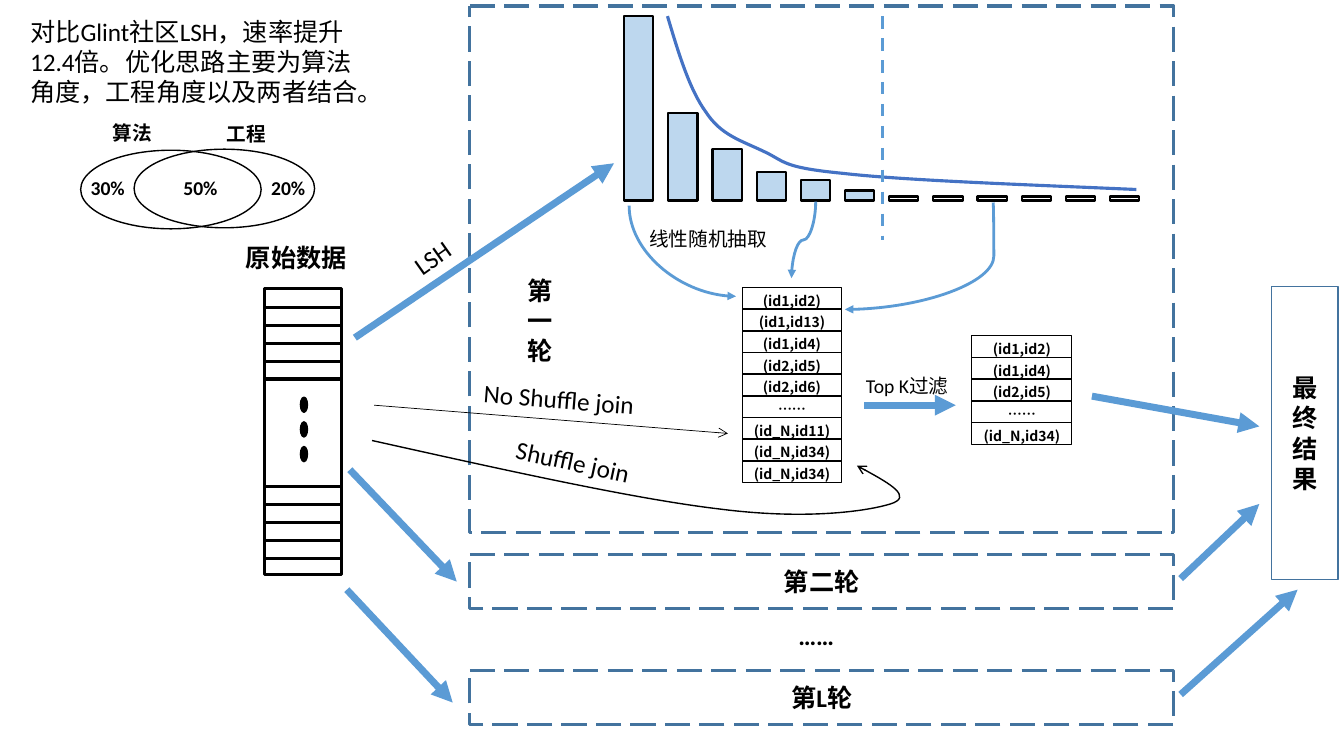
from lxml import etree
from pptx import Presentation
from pptx import util as u
from pptx.dml.color import RGBColor
from pptx.enum import dml, shapes, text
from pptx.oxml import ns

BLACK = RGBColor(0x00, 0x00, 0x00)
WHITE = RGBColor(0xFF, 0xFF, 0xFF)
PALE_BLUE = RGBColor(0xBD, 0xD7, 0xEE)
ARROW_BLUE = RGBColor(0x5B, 0x9B, 0xD5)
FRAME_BLUE = RGBColor(0x43, 0x73, 0x9E)
CURVE_BLUE = RGBColor(0x44, 0x72, 0xC4)
SHAPE = shapes.MSO_SHAPE
STRAIGHT = shapes.MSO_CONNECTOR.STRAIGHT
LONG_DASH = dml.MSO_LINE.LONG_DASH


def finish(item, colour, width, fill=None, dash=None, tail=None):
    """Set outline, fill and arrowhead, and remove the shadow."""
    if hasattr(item, "fill"):
        if fill is None:
            item.fill.background()
        else:
            item.fill.solid()
            item.fill.fore_color.rgb = fill
    item.line.color.rgb = colour
    item.line.width = u.Pt(width)
    if dash:
        item.line.dash_style = dash
    properties = item._element.spPr
    if tail:
        etree.SubElement(properties.find(ns.qn("a:ln")), ns.qn("a:tailEnd"), type=tail)
    etree.SubElement(properties, ns.qn("a:effectLst"))


def write(box, lines, size, bold=True, font="Calibri", align=None):
    """Fill a box with one paragraph per line."""
    frame = box.text_frame
    frame.word_wrap = True
    for index, line in enumerate(lines):
        para = frame.add_paragraph() if index else frame.paragraphs[0]
        para.alignment = align
        span = para.add_run()
        span.text = line
        span.font.size = u.Pt(size)
        span.font.bold = bold
        span.font.name = font
        span.font.color.rgb = BLACK


deck = Presentation()
deck.slide_width = u.Inches(13.33)
deck.slide_height = u.Inches(7.5)
page = deck.slides.add_slide(deck.slide_layouts[6])
items = page.shapes
CENTER = text.PP_ALIGN.CENTER

# Round frames and the final result
for left, top, width, height, lines, weight, dash in [
    (4.66, 0.06, 6.98, 5.22, [], 2.25, LONG_DASH),
    (4.66, 5.5, 6.98, 0.54, ["第二轮"], 2.25, LONG_DASH),
    (4.66, 6.65, 6.98, 0.54, ["第L轮"], 2.25, LONG_DASH),
    (12.61, 2.84, 0.66, 2.91, list("最终结果"), 1, None),
]:
    box = items.add_shape(SHAPE.FLOWCHART_PROCESS, *map(u.Inches, (left, top, width, height)))
    finish(box, FRAME_BLUE, weight, WHITE, dash)
    write(box, lines, 18, align=CENTER)

# Bucket size bars on a common baseline
BASELINE = 1.99
FIRST_BAR, LAST_BAR = 6.19, 11.01
bar_heights = [1.83, 0.87, 0.51, 0.28, 0.2, 0.1] + [0.04] * 6
bar_pitch = (LAST_BAR - FIRST_BAR) / (len(bar_heights) - 1)
for index, height in enumerate(bar_heights):
    bar = items.add_shape(SHAPE.RECTANGLE, u.Inches(FIRST_BAR + bar_pitch * index),
                          u.Inches(BASELINE - height), u.Inches(0.29), u.Inches(height))
    finish(bar, BLACK, 1.5, PALE_BLUE if index < 6 else WHITE)

# Smooth curves: a start point, then three Bezier points per segment
for points, colour, width, tail in [
    ([(6.62, 0.16), (6.73, 0.53), (6.84, 0.89), (7, 1.11), (7.15, 1.34), (7.34, 1.39),
      (7.57, 1.5), (7.79, 1.6), (7.74, 1.66), (8.36, 1.72), (8.97, 1.79), (10.12, 1.83),
      (11.27, 1.88)], CURVE_BLUE, 2.25, None),
    ([(3.69, 4.37), (4.99, 4.66), (6.29, 4.95), (7.14, 5.05), (8, 5.16), (8.6, 5.07),
      (8.83, 5), (9.06, 4.93), (8.78, 4.77), (8.5, 4.62)], BLACK, 1, "arrow"),
]:
    corners = [(u.Inches(x), u.Inches(y)) for x, y in points]
    builder = items.build_freeform(*corners[0])
    builder.add_line_segments(corners[1:], close=False)
    curve = builder.convert_to_shape()
    steps = curve._element.findall(".//" + ns.qn("a:lnTo"))
    for start in range(0, len(steps), 3):
        bezier = etree.Element(ns.qn("a:cubicBezTo"))
        steps[start].addprevious(bezier)
        for step in steps[start:start + 3]:
            bezier.append(step[0])
            step.getparent().remove(step)
    finish(curve, colour, width, tail=tail)

# Candidate pairs before and after the Top K filter
for left, top, pairs in [
    (7.36, 2.85, ["(id1,id2)", "(id1,id13)", "(id1,id4)", "(id2,id5)", "(id2,id6)",
                  "……", "(id_N,id11)", "(id_N,id34)", "(id_N,id34)"]),
    (9.64, 3.33, ["(id1,id2)", "(id1,id4)", "(id2,id5)", "……", "(id_N,id34)"]),
]:
    for row, pair in enumerate(pairs):
        cell = items.add_shape(SHAPE.RECTANGLE, u.Inches(left), u.Inches(top + 0.215 * row),
                               u.Inches(0.99), u.Inches(0.22))
        finish(cell, BLACK, 0.75)
        cell.text_frame.vertical_anchor = text.MSO_ANCHOR.TOP
        cell.text_frame.margin_top = u.Inches(0.05)
        cell.text_frame.margin_bottom = 0
        write(cell, [pair], 10, font="Noto Sans CJK SC", align=CENTER)

# Curved sampling arrows, given unrotated and then turned
for ends, turn, preset, bend in [
    ((7.22, 1.96, 6.32, 3.02), 270, "curvedConnector2", None),
    ((7.59, 2.26, 8.35, 2.5), 90, "curvedConnector3", 50000),
    ((8.38, 3.07, 9.85, 2.01), 180, "curvedConnector3", -500),
]:
    arrow = items.add_connector(shapes.MSO_CONNECTOR.CURVE, *map(u.Inches, ends))
    properties = arrow._element.spPr
    properties.find(ns.qn("a:xfrm")).set("rot", str(turn * 60000))
    geometry = properties.find(ns.qn("a:prstGeom"))
    geometry.set("prst", preset)
    if bend is not None:
        etree.SubElement(geometry.find(ns.qn("a:avLst")), ns.qn("a:gd"),
                         name="adj1", fmla=f"val {bend}")
    finish(arrow, ARROW_BLUE, 2, tail="triangle")

# Thick flow arrows
for ends in [
    (10.83, 3.93, 12.49, 4.23), (11.71, 5.74, 12.49, 5), (11.71, 6.89, 12.87, 5.85),
    (3.47, 4.66, 4.53, 5.77), (3.44, 5.85, 4.49, 6.97), (3.52, 3.35, 6.09, 1.62),
    (8.57, 4.02, 9.48, 4.02),
]:
    arrow = items.add_connector(STRAIGHT, *map(u.Inches, ends))
    finish(arrow, ARROW_BLUE, 5, tail="triangle")

# Cut-off line and the join without shuffle
cutoff = items.add_connector(STRAIGHT, *map(u.Inches, (8.75, 0.16, 8.75, 2.38)))
finish(cutoff, ARROW_BLUE, 2.25, dash=dml.MSO_LINE.DASH)
join = items.add_connector(STRAIGHT, *map(u.Inches, (3.71, 4.02, 7.22, 4.3)))
finish(join, BLACK, 0.5, tail="arrow")

# Stack of raw data: five rows, a gap with dots, five rows
stack = items.add_shape(SHAPE.RECTANGLE, *map(u.Inches, (2.62, 2.86, 0.77, 2.84)))
finish(stack, BLACK, 2.25, WHITE)
for first in (3.05, 4.83):
    for row in range(5):
        y = u.Inches(first + 0.1775 * row)
        divider = items.add_connector(STRAIGHT, u.Inches(2.63), y, u.Inches(3.39), y)
        finish(divider, BLACK, 2.25)
for row in range(3):
    dot = items.add_shape(SHAPE.FLOWCHART_CONNECTOR, u.Inches(2.98),
                          u.Inches(3.94 + 0.245 * row), u.Inches(0.07), u.Inches(0.15))
    finish(dot, BLACK, 1, BLACK)

# Overlapping ellipses for algorithm and engineering
for left, top, fill in [(0.8, 1.49, WHITE), (1.33, 1.48, None)]:
    ellipse = items.add_shape(SHAPE.OVAL, *map(u.Inches, (left, top, 1.79, 0.78)))
    finish(ellipse, BLACK, 1, fill)

# Labels
for left, top, width, height, turn, label, size, bold in [
    (0.2, 0.11, 3.62, 1.01, 0,
     "对比Glint社区LSH，速率提升12.4倍。优化思路主要为算法角度，工程角度以及两者结合。", 18, False),
    (1.02, 1.15, 0.98, 0.34, 0, "算法", 14, True),
    (2.15, 1.16, 0.98, 0.34, 0, "工程", 14, True),
    (0.8, 1.7, 0.98, 0.34, 0, "30%", 14, True),
    (1.72, 1.7, 0.98, 0.34, 0, "50%", 14, True),
    (2.59, 1.7, 0.98, 0.34, 0, "20%", 14, True),
    (2.34, 2.36, 1.32, 0.4, 0, "原始数据", 18, True),
    (3.97, 2.26, 0.9, 0.4, 324.7, "LSH", 18, False),
    (5.13, 2.68, 0.46, 1.01, 0, "第一轮", 18, True),
    (4.7, 3.76, 1.76, 0.4, 4.6, "No Shuffle join", 18, False),
    (5.01, 4.42, 1.76, 0.4, 12.1, "Shuffle join", 18, False),
    (6.34, 2.2, 1.44, 0.34, 0, "线性随机抽取", 14, False),
    (8.49, 3.66, 1.02, 0.34, 0, "Top K过滤", 14, False),
    (7.82, 6.11, 1.23, 0.4, 0, "……", 18, True),
]:
    box = items.add_textbox(*map(u.Inches, (left, top, width, height)))
    box.rotation = turn
    write(box, [label], size, bold)

deck.save("out.pptx")
